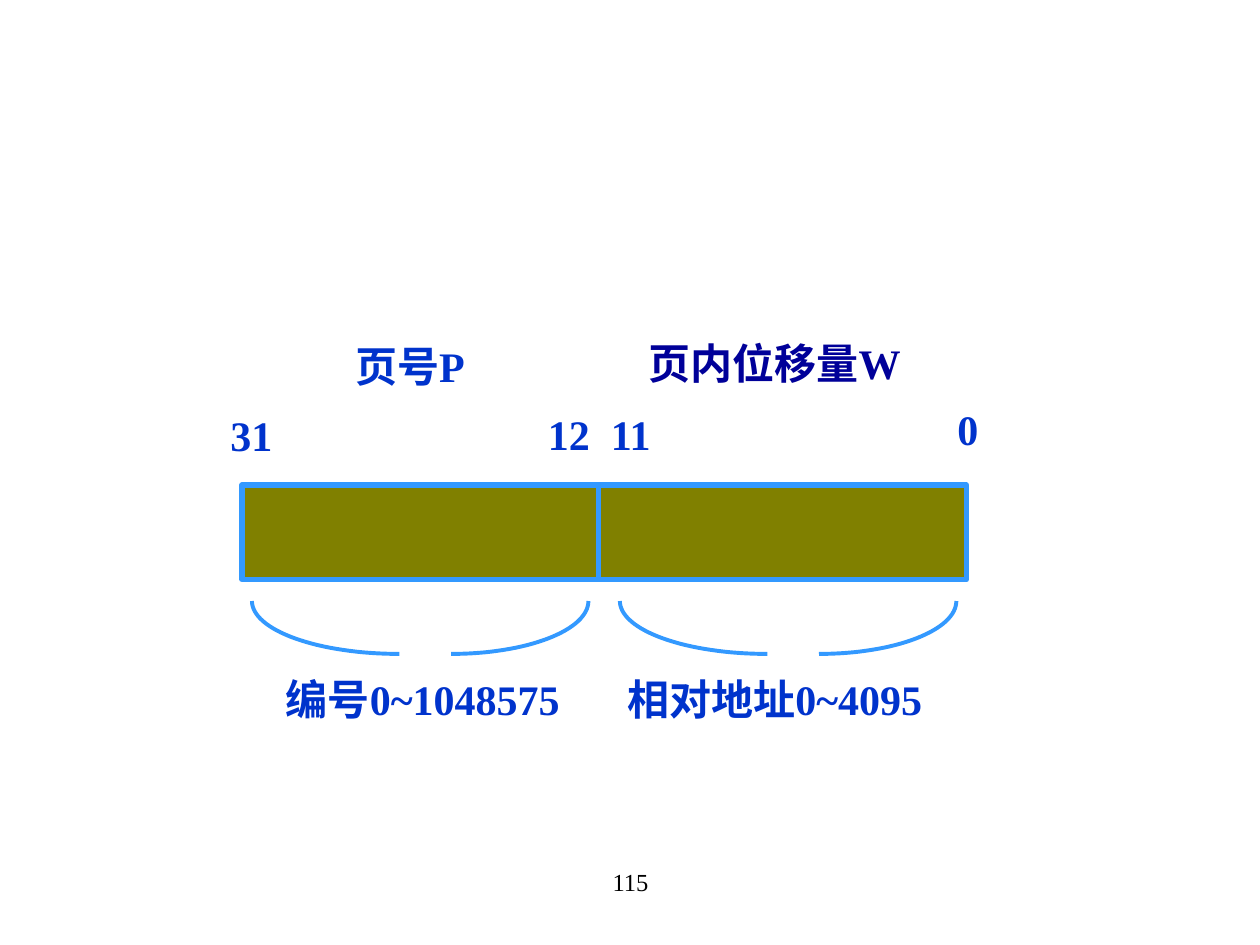
from math import cos, pi, sin

from pptx import Presentation
from pptx.dml.color import RGBColor
from pptx.enum.shapes import MSO_CONNECTOR, MSO_SHAPE
from pptx.enum.text import PP_ALIGN
from pptx.oxml.ns import qn
from pptx.util import Inches, Pt

COLORS = {
    "label": "0033CC",
    "offset": "000099",
    "edge": "3399FF",
    "field": "808000",
    "number": "000000",
}


def paint(name):
    """Return the named colour."""
    return RGBColor.from_string(COLORS[name])


def stroke(line, width):
    """Give a line the edge colour and a width in points."""
    line.color.rgb = paint("edge")
    line.width = Pt(width)


def add_text(slide, text, left, top, width, height=0.5, color="label",
             size=24, bold=True, align=PP_ALIGN.LEFT, wrap=False):
    """Add a one-line text box."""
    box = slide.shapes.add_textbox(
        Inches(left), Inches(top), Inches(width), Inches(height))
    box.text_frame.word_wrap = wrap
    para = box.text_frame.paragraphs[0]
    para.alignment = align
    run = para.add_run()
    run.text = text
    font = run.font
    font.name = "Times New Roman"
    font.size = Pt(size)
    font.bold = bold
    font.color.rgb = paint(color)


def add_field(slide, left, top, width, height, split):
    """Add the address bar and the line that splits it."""
    bar = slide.shapes.add_shape(
        MSO_SHAPE.RECTANGLE,
        Inches(left), Inches(top), Inches(width), Inches(height))
    bar.shadow.inherit = False
    bar.fill.solid()
    bar.fill.fore_color.rgb = paint("field")
    stroke(bar.line, 3)
    rule = slide.shapes.add_connector(
        MSO_CONNECTOR.STRAIGHT,
        Inches(split), Inches(top), Inches(split), Inches(top + height))
    stroke(rule.line, 3)
    props = rule._element.spPr
    props.append(props.makeelement(qn("a:effectLst"), {}))


def add_arc(slide, rim, base, top=4.77, height=0.42, steps=32):
    """Add a quarter ellipse from its rim down to its base."""
    turns = [pi / 2 * step / steps for step in range(steps + 1)]
    points = [(Inches(base + (rim - base) * cos(turn)),
               Inches(top + height * sin(turn))) for turn in turns]
    pen = slide.shapes.build_freeform(*points[0])
    pen.add_line_segments(points[1:], close=False)
    arc = pen.convert_to_shape()
    arc.shadow.inherit = False
    arc.fill.background()
    stroke(arc.line, 2.25)


def main():
    """Build the page address slide."""
    deck = Presentation()
    deck.slide_width, deck.slide_height = Inches(10), Inches(7.5)
    slide = deck.slides.add_slide(deck.slide_layouts[6])

    add_field(slide, 1.92, 3.85, 5.75, 0.75, split=4.75)

    for bit, left, top, width in (
            ("31", 1.73, 3.2, 0.53), ("12", 4.25, 3.19, 0.53),
            ("11", 4.75, 3.19, 0.53), ("0", 7.5, 3.15, 0.36)):
        add_text(slide, bit, left, top, width)

    add_text(slide, "页号P", 2.72, 2.65, 1.15)
    add_text(slide, "页内位移量W", 5.05, 2.63, 2.28, color="offset")
    add_text(slide, "编号0~1048575", 2.17, 5.3, 2.45, height=0.9)
    add_text(slide, "相对地址0~4095", 4.88, 5.3, 2.62)

    for left in (2, 4.92):
        add_arc(slide, left, left + 1.17)
        add_arc(slide, left + 2.67, left + 1.58)

    add_text(slide, "115", 3.42, 6.83, 3.17, color="number", size=14,
             bold=False, align=PP_ALIGN.CENTER, wrap=True)
    deck.save("out.pptx")


if __name__ == "__main__":
    main()
